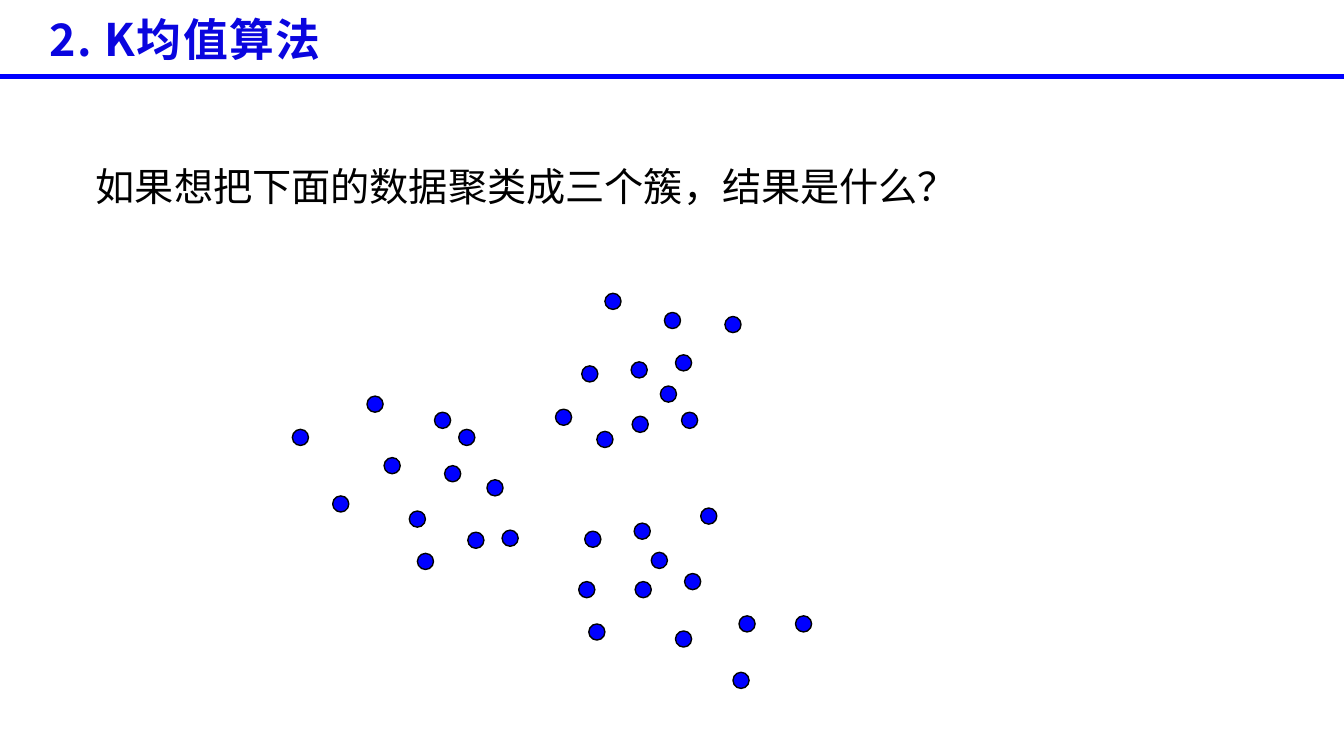
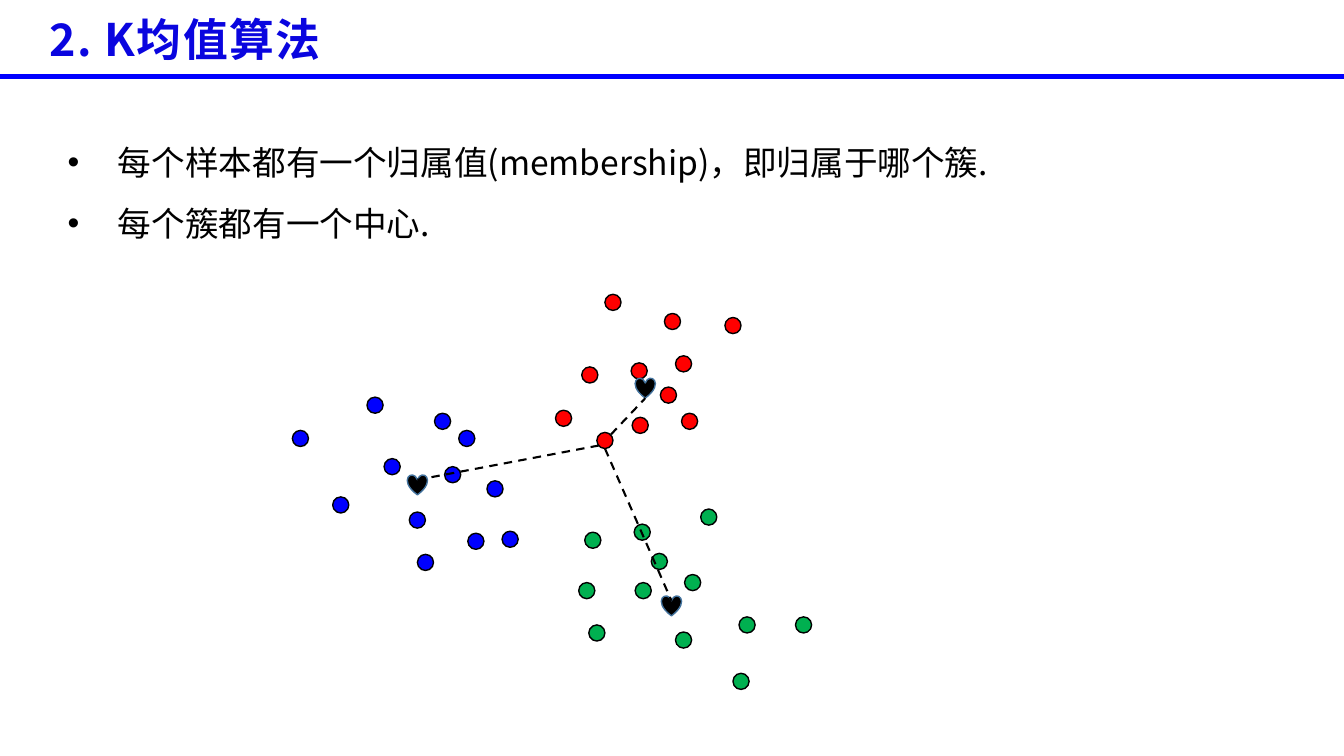
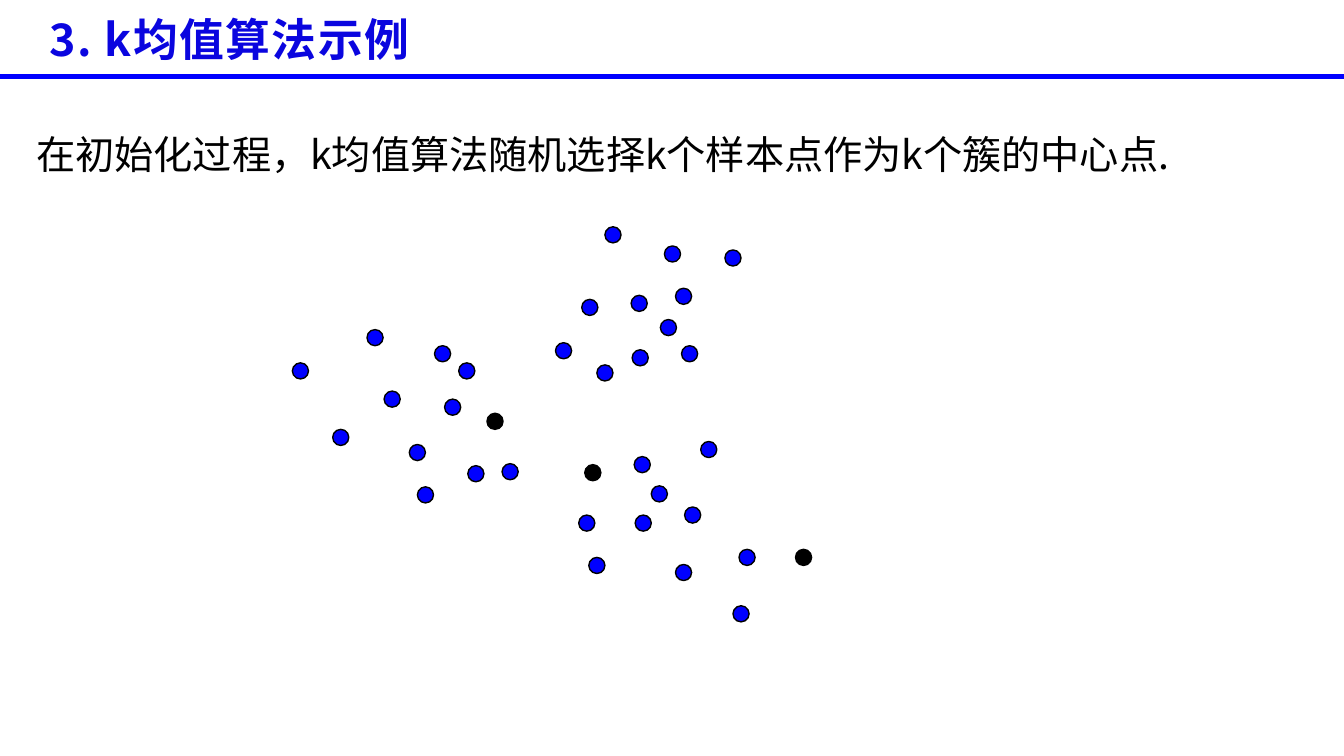
from dataclasses import dataclass
from typing import NamedTuple

from lxml.etree import SubElement
from pptx import Presentation
from pptx.dml.color import RGBColor
from pptx.enum.dml import MSO_LINE
from pptx.enum.shapes import MSO_CONNECTOR, MSO_SHAPE
from pptx.enum.text import MSO_ANCHOR, MSO_AUTO_SIZE, PP_ALIGN
from pptx.oxml.ns import qn
from pptx.shapes.placeholder import SlidePlaceholder
from pptx.slide import Slide
from pptx.util import Inches, Pt

FONT = "Noto Sans CJK SC"
BLUE, RED, GREEN, BLACK = "0000FF", "FF0000", "00B050", "000000"
TITLE_BLUE, HEART_EDGE = "0A05DF", "43739E"
SLIDE_WIDTH, SLIDE_HEIGHT = 13.33, 7.5
SAMPLE_SIZE, CENTER_SIZE = 0.16, 0.2


class Point(NamedTuple):
    x: float
    y: float


class Box(NamedTuple):
    left: float
    top: float
    width: float
    height: float


class Distance(NamedTuple):
    start: Point
    end: Point


@dataclass(frozen=True)
class TextStyle:
    size: int
    color: str
    bold: bool = False
    tracking: int = 0
    line_spacing: float = 1.0
    bullet: str = ""


@dataclass(frozen=True)
class ClusterSlide:
    title: str
    body: list[str]
    body_box: Box
    body_style: TextStyle
    shift: float
    colors: tuple[str, str, str] = (BLUE, BLUE, BLUE)
    seeds: tuple[Point, ...] = ()
    centers: tuple[Point, ...] = ()
    distances: tuple[Distance, ...] = ()


TITLE_BOX = Box(0.39, 0.07, 8.33, 0.64)
TITLE_STYLE = TextStyle(32, TITLE_BLUE, bold=True, tracking=100)
STATEMENT = TextStyle(28, BLACK, line_spacing=1.5)
BULLETS = TextStyle(24, BLACK, line_spacing=1.5, bullet="•")

LEFT_CLUSTER = [
    Point(3.64, 3.93), Point(3.81, 4.54), Point(4.55, 4.26), Point(4.14, 5.49),
    Point(4.31, 4.09), Point(4.83, 4.76), Point(4.64, 5.28), Point(4.41, 4.62),
    Point(4.98, 5.26), Point(2.9, 4.26), Point(3.3, 4.92), Point(4.06, 5.07),
]
UPPER_CLUSTER = [
    Point(6.26, 3.59), Point(6, 2.91), Point(6.7, 3.52), Point(6.76, 4.09),
    Point(5.77, 3.63), Point(5.92, 4.28), Point(5.51, 4.06), Point(6.27, 4.13),
    Point(6.55, 3.83), Point(6.59, 3.1), Point(7.19, 3.14),
]
LOWER_CLUSTER = [
    Point(5.74, 5.77), Point(6.29, 5.19), Point(6.95, 5.04), Point(6.46, 5.48),
    Point(6.79, 5.69), Point(5.8, 5.27), Point(6.7, 6.26), Point(5.84, 6.19),
    Point(6.3, 5.77), Point(7.33, 6.11), Point(7.27, 6.67), Point(7.89, 6.11),
]
CLUSTERS = (LEFT_CLUSTER, UPPER_CLUSTER, LOWER_CLUSTER)

SLIDES = [
    ClusterSlide(
        title="2. K均值算法",
        body=["如果想把下面的数据聚类成三个簇，结果是什么？"],
        body_box=Box(0.85, 1.33, 11.15, 0.72),
        body_style=STATEMENT,
        shift=0,
    ),
    ClusterSlide(
        title="2. K均值算法",
        body=["每个样本都有一个归属值(membership)，即归属于哪个簇.", "每个簇都有一个中心."],
        body_box=Box(0.57, 1.16, 11.55, 1.24),
        body_style=BULLETS,
        shift=0.01,
        colors=(BLUE, RED, GREEN),
        centers=(Point(4.04, 4.71), Point(6.3, 3.75), Point(6.56, 5.91)),
        distances=(
            Distance(Point(5.94, 4.42), Point(4.14, 4.76)),
            Distance(Point(6.06, 4.31), Point(6.4, 3.95)),
            Distance(Point(6, 4.45), Point(6.66, 5.96)),
        ),
    ),
    ClusterSlide(
        title="3. k均值算法示例",
        body=["在初始化过程，k均值算法随机选择k个样本点作为k个簇的中心点."],
        body_box=Box(0.26, 1.01, 12.01, 0.72),
        body_style=STATEMENT,
        shift=-0.66,
        seeds=(Point(4.83, 4.76), Point(5.8, 5.27), Point(7.89, 6.11)),
    ),
]


def rgb(color: str) -> RGBColor:
    """Turn a hex string into a colour."""
    return RGBColor.from_string(color)


def fill_placeholder(holder: SlidePlaceholder, box: Box, lines: list[str], style: TextStyle) -> None:
    """Move a placeholder, then write and format its paragraphs."""
    holder.left, holder.top, holder.width, holder.height = map(Inches, box)
    frame = holder.text_frame
    frame.text = "\n".join(lines)
    frame.word_wrap = True
    frame.auto_size = MSO_AUTO_SIZE.SHAPE_TO_FIT_TEXT
    frame.vertical_anchor = MSO_ANCHOR.TOP
    for paragraph in frame.paragraphs:
        paragraph.alignment = PP_ALIGN.LEFT
        paragraph.line_spacing = style.line_spacing
        paragraph.space_before = Pt(0)
        properties = paragraph._p.get_or_add_pPr()
        indent = Inches(0.5) if style.bullet else 0
        properties.set("marL", str(indent))
        properties.set("indent", str(-indent))
        if style.bullet:
            SubElement(properties, qn("a:buFont"), typeface="Arial")
            SubElement(properties, qn("a:buChar"), char=style.bullet)
        else:
            SubElement(properties, qn("a:buNone"))
        font = paragraph.font
        font.name = FONT
        font.size = Pt(style.size)
        font.bold = style.bold
        font.color.rgb = rgb(style.color)
        defaults = properties.find(qn("a:defRPr"))
        defaults.set("spc", str(style.tracking))
        SubElement(defaults, qn("a:ea"), typeface=FONT)


def add_marker(slide: Slide, preset: MSO_SHAPE, corner: Point, size: float, fill: str, edge: str) -> None:
    """Draw one sample or cluster center."""
    marker = slide.shapes.add_shape(preset, Inches(corner.x), Inches(corner.y), Inches(size), Inches(size))
    marker.shadow.inherit = False
    marker.fill.solid()
    marker.fill.fore_color.rgb = rgb(fill)
    marker.line.color.rgb = rgb(edge)
    marker.line.width = Pt(1)


def add_line(slide: Slide, start: Point, end: Point, color: str, width: float, dashed: bool = False) -> None:
    """Draw a straight line without a shadow."""
    line = slide.shapes.add_connector(
        MSO_CONNECTOR.STRAIGHT, Inches(start.x), Inches(start.y), Inches(end.x), Inches(end.y)
    )
    line.line.color.rgb = rgb(color)
    line.line.width = Pt(width)
    if dashed:
        line.line.dash_style = MSO_LINE.DASH
    SubElement(line._element.spPr, qn("a:effectLst"))


def add_header(slide: Slide, title: str) -> None:
    """Write the title and draw the rule below it."""
    fill_placeholder(slide.shapes.title, TITLE_BOX, [title], TITLE_STYLE)
    add_line(slide, Point(0, 0.76), Point(SLIDE_WIDTH, 0.76), BLUE, 4)


def add_scatter(slide: Slide, content: ClusterSlide) -> None:
    """Draw the samples, the cluster centers and the distances."""
    for samples, color in zip(CLUSTERS, content.colors):
        for sample in samples:
            fill = BLACK if sample in content.seeds else color
            corner = Point(sample.x, sample.y + content.shift)
            add_marker(slide, MSO_SHAPE.FLOWCHART_CONNECTOR, corner, SAMPLE_SIZE, fill, BLACK)
    for center in content.centers:
        add_marker(slide, MSO_SHAPE.HEART, center, CENTER_SIZE, BLACK, HEART_EDGE)
    for distance in content.distances:
        add_line(slide, distance.start, distance.end, BLACK, 1.5, dashed=True)


def main() -> None:
    """Build and save the presentation."""
    presentation = Presentation()
    presentation.slide_width = Inches(SLIDE_WIDTH)
    presentation.slide_height = Inches(SLIDE_HEIGHT)
    for content in SLIDES:
        slide = presentation.slides.add_slide(presentation.slide_layouts[1])
        add_header(slide, content.title)
        fill_placeholder(slide.placeholders[1], content.body_box, content.body, content.body_style)
        add_scatter(slide, content)
    presentation.save("out.pptx")


if __name__ == "__main__":
    main()
